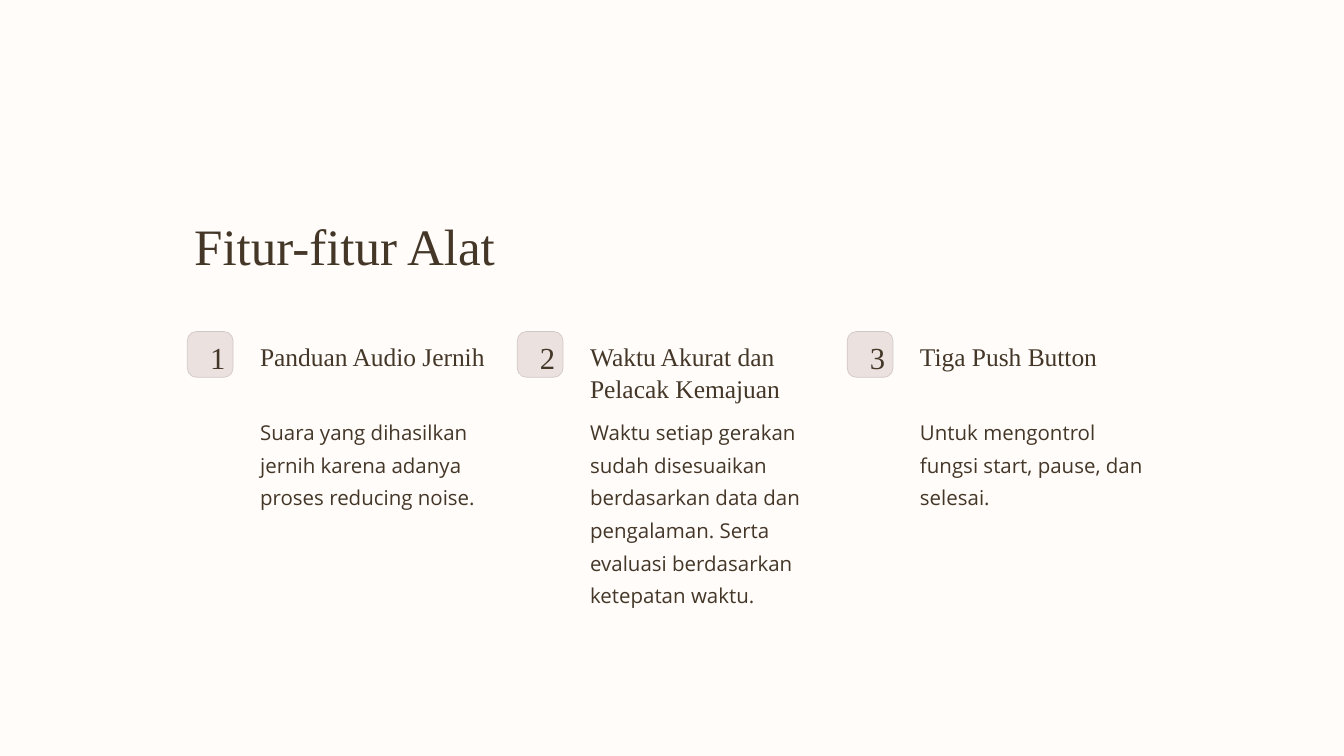
from dataclasses import dataclass

from pptx import Presentation
from pptx.dml.color import RGBColor
from pptx.enum.shapes import MSO_SHAPE
from pptx.enum.text import MSO_ANCHOR, MSO_AUTO_SIZE, PP_ALIGN
from pptx.slide import Slide
from pptx.text.text import TextFrame
from pptx.util import Pt

CREAM = RGBColor(0xFF, 0xFC, 0xFA)
BROWN = RGBColor(0x44, 0x37, 0x28)
BADGE_FILL = RGBColor(0xEB, 0xE2, 0xE0)
BADGE_LINE = RGBColor(0xD1, 0xC8, 0xC6)

# Grid, in points
FIRST_COLUMN = 200.7
COLUMN_PITCH = 353.5
BADGE_TOP, BADGE_SIZE = 355.2, 49
NUMBER_INDENT, NUMBER_WIDTH = 23.5, 18
TEXT_INDENT, TEXT_WIDTH = 78, 246.2


@dataclass(frozen=True)
class TextStyle:
    font: str
    size: float
    spacing: float
    align: PP_ALIGN = PP_ALIGN.LEFT


@dataclass(frozen=True)
class Feature:
    heading: str
    description: str


TITLE = TextStyle("Times New Roman", 54.7, 68.3)
NUMBER = TextStyle("Times New Roman", 32.8, 41, PP_ALIGN.CENTER)
HEADING = TextStyle("Times New Roman", 27.3, 34.2)
DESCRIPTION = TextStyle("Open Sans", 21.9, 35)

FEATURES = [
    Feature("Panduan Audio Jernih",
            "Suara yang dihasilkan jernih karena adanya proses reducing noise."),
    Feature("Waktu Akurat dan Pelacak Kemajuan",
            "Waktu setiap gerakan sudah disesuaikan berdasarkan data dan "
            "pengalaman. Serta evaluasi berdasarkan ketepatan waktu."),
    Feature("Tiga Push Button",
            "Untuk mengontrol fungsi start, pause, dan selesai."),
]


def write(frame: TextFrame, text: str, style: TextStyle, wrap: bool = True) -> None:
    frame.text = text
    frame.word_wrap = wrap
    frame.auto_size = MSO_AUTO_SIZE.NONE
    frame.vertical_anchor = MSO_ANCHOR.TOP
    frame.margin_left = frame.margin_right = 0
    frame.margin_top = frame.margin_bottom = 0
    paragraph = frame.paragraphs[0]
    paragraph.alignment = style.align
    paragraph.line_spacing = Pt(style.spacing)
    font = paragraph.runs[0].font
    font.name = style.font
    font.size = Pt(style.size)
    font.color.rgb = BROWN


def add_text(slide: Slide, left: float, top: float, width: float, height: float,
             text: str, style: TextStyle, wrap: bool = True) -> None:
    box = slide.shapes.add_textbox(Pt(left), Pt(top), Pt(width), Pt(height))
    write(box.text_frame, text, style, wrap)


def add_badge(slide: Slide, left: float, number: int) -> None:
    badge = slide.shapes.add_shape(MSO_SHAPE.ROUNDED_RECTANGLE, Pt(left),
                                   Pt(BADGE_TOP), Pt(BADGE_SIZE), Pt(BADGE_SIZE))
    badge.adjustments[0] = 0.2
    badge.shadow.inherit = False
    badge.fill.solid()
    badge.fill.fore_color.rgb = BADGE_FILL
    badge.line.color.rgb = BADGE_LINE
    badge.line.width = Pt(0.75)
    add_text(slide, left + NUMBER_INDENT, 361, NUMBER_WIDTH, 41,
             str(number), NUMBER, wrap=False)


def add_feature(slide: Slide, left: float, number: int, feature: Feature) -> None:
    add_badge(slide, left, number)
    text_left = left + TEXT_INDENT
    add_text(slide, text_left, 364.3, TEXT_WIDTH, 68.4, feature.heading, HEADING)
    add_text(slide, text_left, 441.4, TEXT_WIDTH, 210, feature.description, DESCRIPTION)


def main() -> None:
    deck = Presentation()
    deck.slide_width, deck.slide_height = Pt(1440), Pt(810)
    slide = deck.slides.add_slide(deck.slide_layouts[5])

    # Background
    slide.background.fill.solid()
    slide.background.fill.fore_color.rgb = CREAM

    # Title
    title = slide.shapes.title
    title.left, title.top = Pt(208), Pt(226.8)
    title.width, title.height = Pt(532), Pt(64)
    write(title.text_frame, "Fitur-fitur Alat", TITLE)

    # Numbered features
    for index, feature in enumerate(FEATURES):
        add_feature(slide, FIRST_COLUMN + index * COLUMN_PITCH, index + 1, feature)

    deck.save("out.pptx")


if __name__ == "__main__":
    main()
